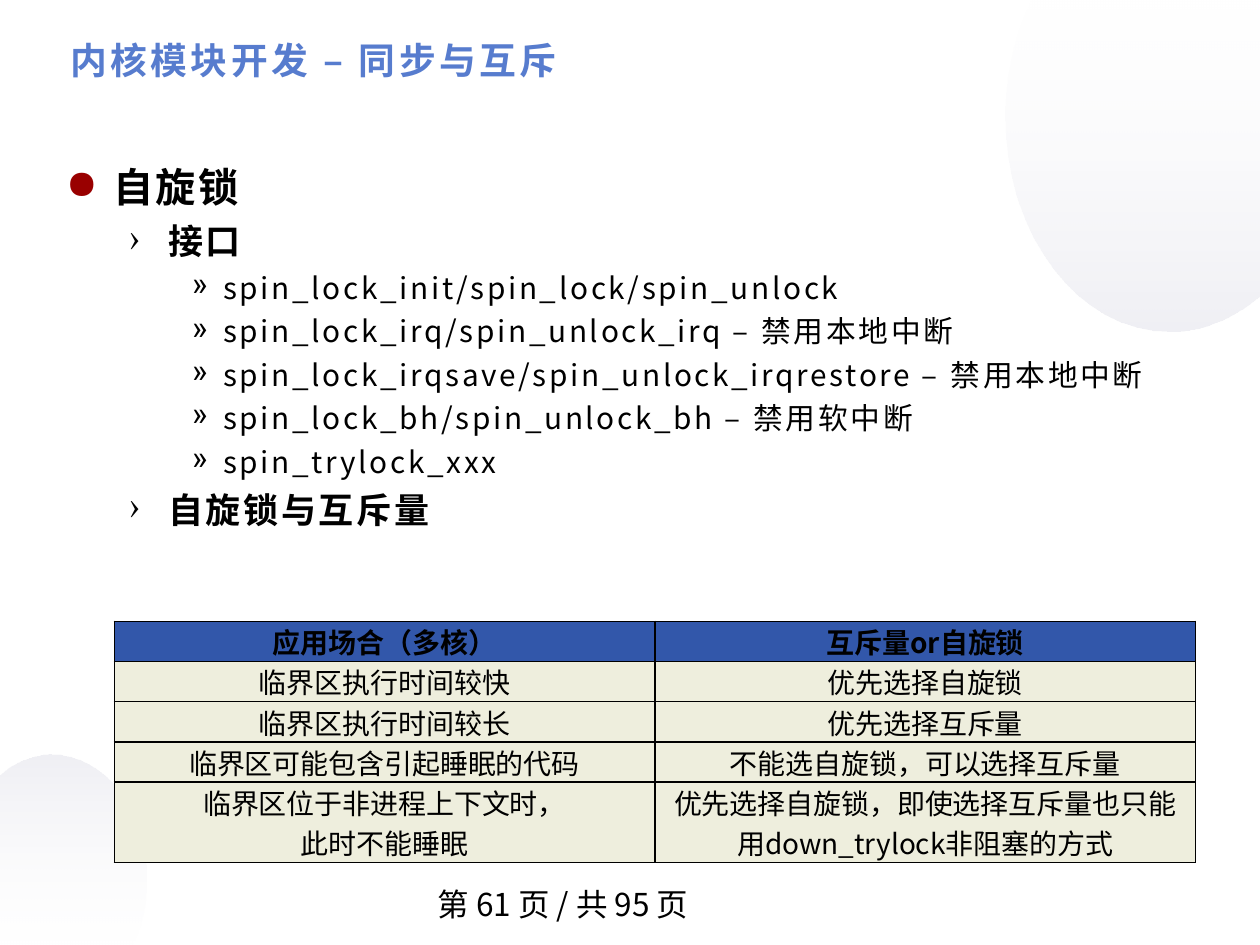
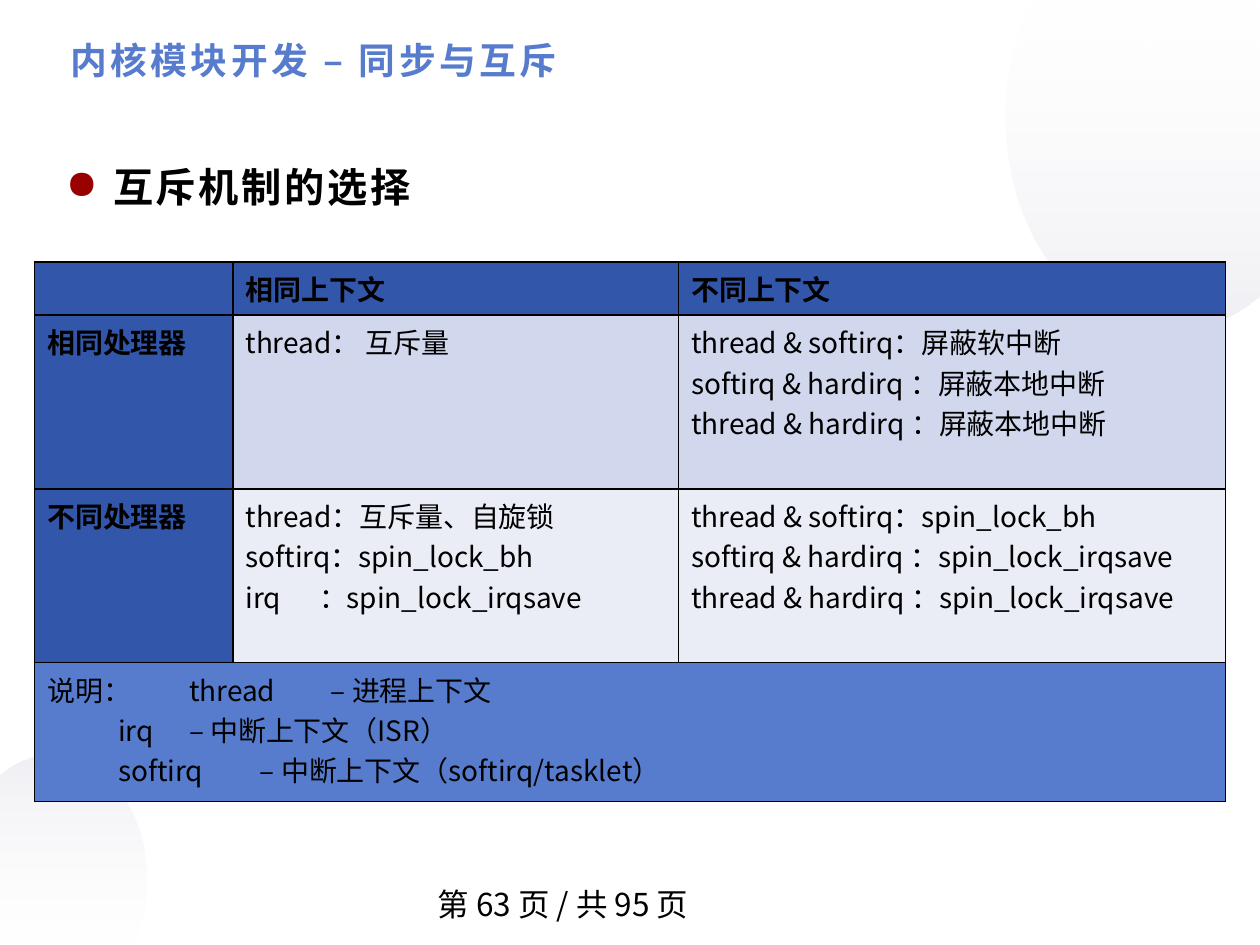
from dataclasses import dataclass
from lxml.etree import SubElement
from pptx import Presentation
from pptx.dml.color import RGBColor
from pptx.enum.text import MSO_ANCHOR, PP_ALIGN
from pptx.oxml.ns import qn
from pptx.util import Pt


@dataclass(frozen=True)
class Theme:
    font: str = "Noto Sans CJK SC"
    text: str = "000000"
    title: str = "577CCE"
    bullet: str = "990000"
    header: str = "3257AA"
    cream: str = "EEEEDD"
    band_dark: str = "D1D7ED"
    band_light: str = "EAECF6"
    note: str = "577CCE"
    glow: tuple = (("FFFFFF", 10), ("BEBED2", 24))
    title_size: int = 21
    footer_size: int = 18
    cell_size: int = 16


@dataclass(frozen=True)
class Level:
    size: int
    bold: bool
    bullet: str
    color: str
    left: float
    hanging: float


T = Theme()
LEVELS = (
    Level(23, True, "●", T.bullet, 27, 27),
    Level(20, True, "›", T.text, 58.5, 22.5),
    Level(17, False, "»", T.text, 90, 18),
)
TITLE = "内核模块开发 – 同步与互斥"
TOTAL_PAGES = 95
TOP_GLOW = (
    [(589.7, 0), (720, 0), (720, 168.5), (712.8, 174.2)],
    [[(699.1, 183.6), (684, 189.4), (668.2, 189.4)],
     [(616.3, 189.4), (574.6, 134.6), (574.6, 66.2)],
     [(574.6, 45.4), (578.9, 25.2), (586.1, 7.9)]],
)
BOTTOM_GLOW = (
    [(74.9, 540), (0, 540), (0, 443.5), (4.3, 439.9)],
    [[(11.5, 434.9), (20.9, 431.3), (29.5, 431.3)],
     [(59.8, 431.3), (83.5, 463), (83.5, 501.8)],
     [(83.5, 514.1), (81.4, 525.6), (77, 535.7)]],
)


def set_attrs(obj, values):
    for name, value in values.items():
        setattr(obj, name, value)


def add_run(p, text, size, color=T.text, bold=False, spacing=0):
    r = p.add_run()
    r.text = text
    set_attrs(r.font, {"name": T.font, "size": Pt(size), "bold": bold})
    r.font.color.rgb = RGBColor.from_string(color)
    rPr = r.font._element
    SubElement(rPr, qn("a:ea"), typeface=T.font)
    if spacing:
        rPr.set("spc", str(int(spacing * 100)))


def add_textbox(s, left, top, width, height, anchor=MSO_ANCHOR.TOP):
    tf = s.shapes.add_textbox(Pt(left), Pt(top), Pt(width), Pt(height)).text_frame
    set_attrs(tf, {
        "word_wrap": True, "vertical_anchor": anchor,
        "margin_left": Pt(6.6), "margin_right": Pt(6.6),
        "margin_top": Pt(3), "margin_bottom": Pt(3),
    })
    return tf


def add_bullet(p, text, level):
    set_attrs(p, {"line_spacing": 1.05, "space_before": Pt(level.size * 0.2)})
    pPr = p._p.get_or_add_pPr()
    pPr.set("marL", str(Pt(level.left)))
    pPr.set("indent", str(-Pt(level.hanging)))
    SubElement(SubElement(pPr, qn("a:buClr")), qn("a:srgbClr"), val=level.color)
    SubElement(pPr, qn("a:buChar"), char=level.bullet)
    add_run(p, text, level.size, bold=level.bold, spacing=1.5)


def add_body(s, items):
    tf = add_textbox(s, 31, 88.5, 652, 386)
    for i, (depth, text) in enumerate(items):
        p = tf.add_paragraph() if i else tf.paragraphs[0]
        add_bullet(p, text, LEVELS[depth])


def bezier(start, a, b, end, steps=16):
    for i in range(1, steps + 1):
        t = i / steps
        u = 1 - t
        yield tuple(Pt(u**3 * k0 + 3 * u * u * t * k1 + 3 * u * t * t * k2 + t**3 * k3)
                    for k0, k1, k2, k3 in zip(start, a, b, end))


def add_glow(s, outline, angle):
    corners, curves = outline
    points = [(Pt(x), Pt(y)) for x, y in corners]
    pen = corners[-1]
    for a, b, end in curves:
        points += bezier(pen, a, b, end)
        pen = end
    builder = s.shapes.build_freeform(*points[0], scale=1.0)
    builder.add_line_segments(points[1:], close=True)
    sp = builder.convert_to_shape()
    sp.shadow.inherit = False
    sp.line.fill.background()
    sp.fill.gradient()
    sp.fill.gradient_angle = angle
    for stop, (color, alpha) in zip(sp.fill.gradient_stops, T.glow):
        stop.color.rgb = RGBColor.from_string(color)
        clr = stop._gs.find(qn("a:srgbClr"))
        SubElement(clr, qn("a:alpha"), val=str(alpha * 1000))


def add_borders(cell):
    tcPr = cell._tc.get_or_add_tcPr()
    for side in ("lnL", "lnR", "lnT", "lnB"):
        ln = SubElement(tcPr, qn(f"a:{side}"), w=str(Pt(1)))
        SubElement(SubElement(ln, qn("a:solidFill")), qn("a:srgbClr"), val=T.text)


def add_tabs(p, stops):
    tabs = SubElement(p._p.get_or_add_pPr(), qn("a:tabLst"))
    for stop in stops:
        SubElement(tabs, qn("a:tab"), pos=str(Pt(stop)), algn="l")


def fill_cell(cell, text, color, margins, align, tabs):
    add_borders(cell)
    cell.fill.solid()
    cell.fill.fore_color.rgb = RGBColor.from_string(color)
    side, top = margins
    set_attrs(cell, {"margin_left": Pt(side), "margin_right": Pt(side),
                     "margin_top": Pt(top), "margin_bottom": Pt(top)})
    tf = cell.text_frame
    for i, line in enumerate(text.split("\n") if text else []):
        p = tf.add_paragraph() if i else tf.paragraphs[0]
        p.alignment = align
        if "\t" in line:
            add_tabs(p, tabs)
        add_run(p, line, T.cell_size, bold=color == T.header)


def add_grid(s, left, top, widths, heights, rows, fills, margins=(7.2, 3.6),
             align=PP_ALIGN.LEFT, side_header=False, merged_row=None, tabs=None):
    frame = s.shapes.add_table(len(rows), len(widths), Pt(left), Pt(top),
                               Pt(sum(widths)), Pt(sum(heights)))
    table = frame.table
    for col, width in zip(table.columns, widths):
        col.width = Pt(width)
    for row, height in zip(table.rows, heights):
        row.height = Pt(height)
    for r, texts in enumerate(rows):
        for c in range(len(widths)):
            text = texts[c] if c < len(texts) else ""
            header = side_header and c == 0 and r != merged_row
            stops = tabs[r] if tabs and r in tabs else ()
            fill_cell(table.cell(r, c), text, T.header if header else fills[r],
                      margins, align, stops)
    if merged_row is not None:
        table.cell(merged_row, 0).merge(table.cell(merged_row, len(widths) - 1))


def add_page(prs, number):
    s = prs.slides.add_slide(prs.slide_layouts[6])
    add_glow(s, TOP_GLOW, 270)
    add_glow(s, BOTTOM_GLOW, 90)
    footer = add_textbox(s, 243.5, 503, 234, 19)
    add_run(footer.paragraphs[0], f"第 {number} 页 / 共 {TOTAL_PAGES} 页", T.footer_size)
    title = add_textbox(s, 33.5, 0, 650, 68.5, MSO_ANCHOR.MIDDLE)
    add_run(title.paragraphs[0], TITLE, T.title_size, T.title, True, 2)
    return s


def add_spinlock_page(prs):
    s = add_page(prs, 61)
    add_body(s, [
        (0, "自旋锁"),
        (1, "接口"),
        (2, "spin_lock_init/spin_lock/spin_unlock"),
        (2, "spin_lock_irq/spin_unlock_irq – 禁用本地中断"),
        (2, "spin_lock_irqsave/spin_unlock_irqrestore – 禁用本地中断"),
        (2, "spin_lock_bh/spin_unlock_bh – 禁用软中断"),
        (2, "spin_trylock_xxx"),
        (1, "自旋锁与互斥量"),
    ])
    rows = [
        ("应用场合（多核）", "互斥量or自旋锁"),
        ("临界区执行时间较快", "优先选择自旋锁"),
        ("临界区执行时间较长", "优先选择互斥量"),
        ("临界区可能包含引起睡眠的代码", "不能选自旋锁，可以选择互斥量"),
        ("临界区位于非进程上下文时，\n此时不能睡眠",
         "优先选择自旋锁，即使选择互斥量也只能用down_trylock非阻塞的方式"),
    ]
    add_grid(s, 65.3, 355, [309, 309], [23] * 4 + [46], rows,
             [T.header] + [T.cream] * 4, margins=(5, 0), align=PP_ALIGN.CENTER)


def add_choice_page(prs):
    s = add_page(prs, 63)
    add_body(s, [(0, "互斥机制的选择")])
    rows = [
        ("", "相同上下文", "不同上下文"),
        ("相同处理器", "thread： 互斥量",
         "thread & softirq：屏蔽软中断\n"
         "softirq & hardirq ：屏蔽本地中断\n"
         "thread & hardirq ：屏蔽本地中断"),
        ("不同处理器",
         "thread：互斥量、自旋锁\nsoftirq：spin_lock_bh\nirq\t：spin_lock_irqsave",
         "thread & softirq：spin_lock_bh\n"
         "softirq & hardirq ：spin_lock_irqsave\n"
         "thread & hardirq ：spin_lock_irqsave"),
        ("说明：\tthread \t– 进程上下文\n"
         "\tirq \t– 中断上下文（ISR）\n"
         "\tsoftirq \t– 中断上下文（softirq/tasklet）",),
    ]
    note_tabs = [40.5 * i for i in range(1, 5)]
    add_grid(s, 19.8, 149.8, [113.3, 254.7, 312.5], [30.3, 99.3, 99.3, 79.2], rows,
             [T.header, T.band_dark, T.band_light, T.note],
             side_header=True, merged_row=3, tabs={2: [42], 3: note_tabs})


def main():
    prs = Presentation()
    set_attrs(prs, {"slide_width": Pt(720), "slide_height": Pt(540)})
    add_spinlock_page(prs)
    add_choice_page(prs)
    prs.save("out.pptx")


if __name__ == "__main__":
    main()
